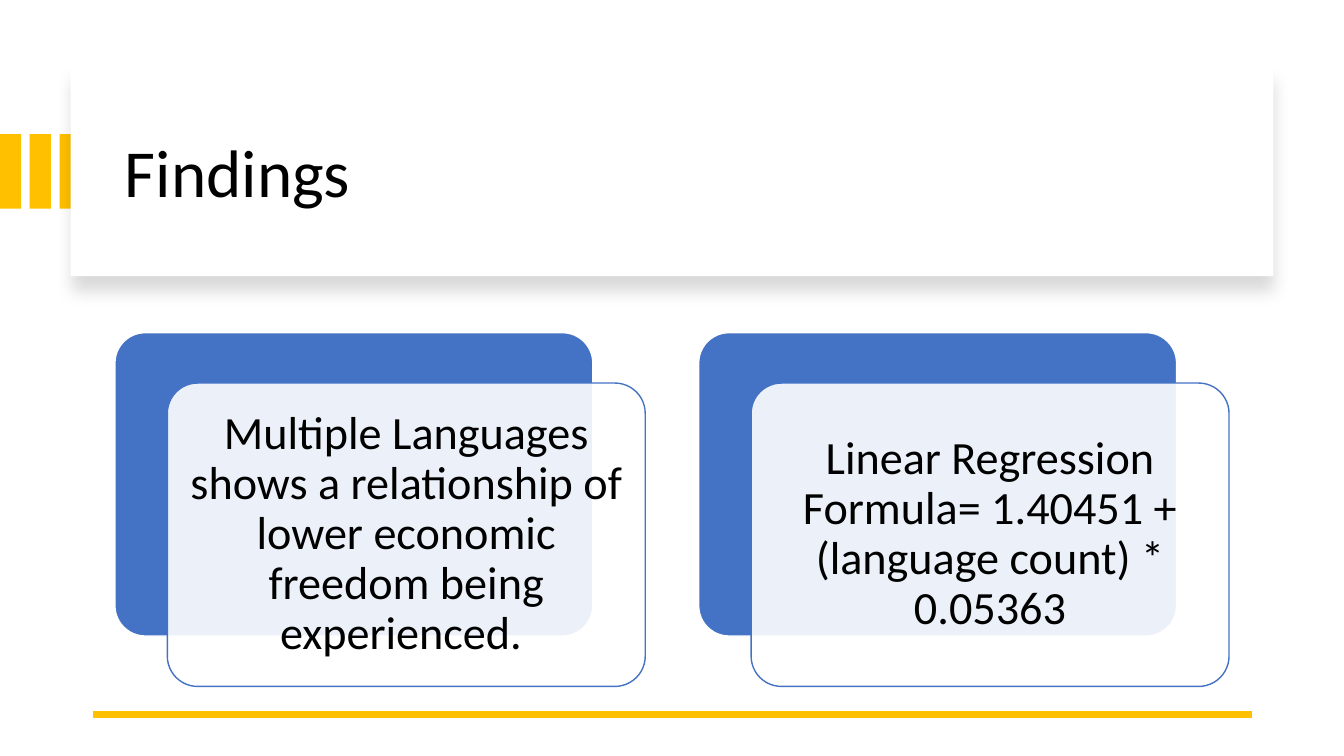
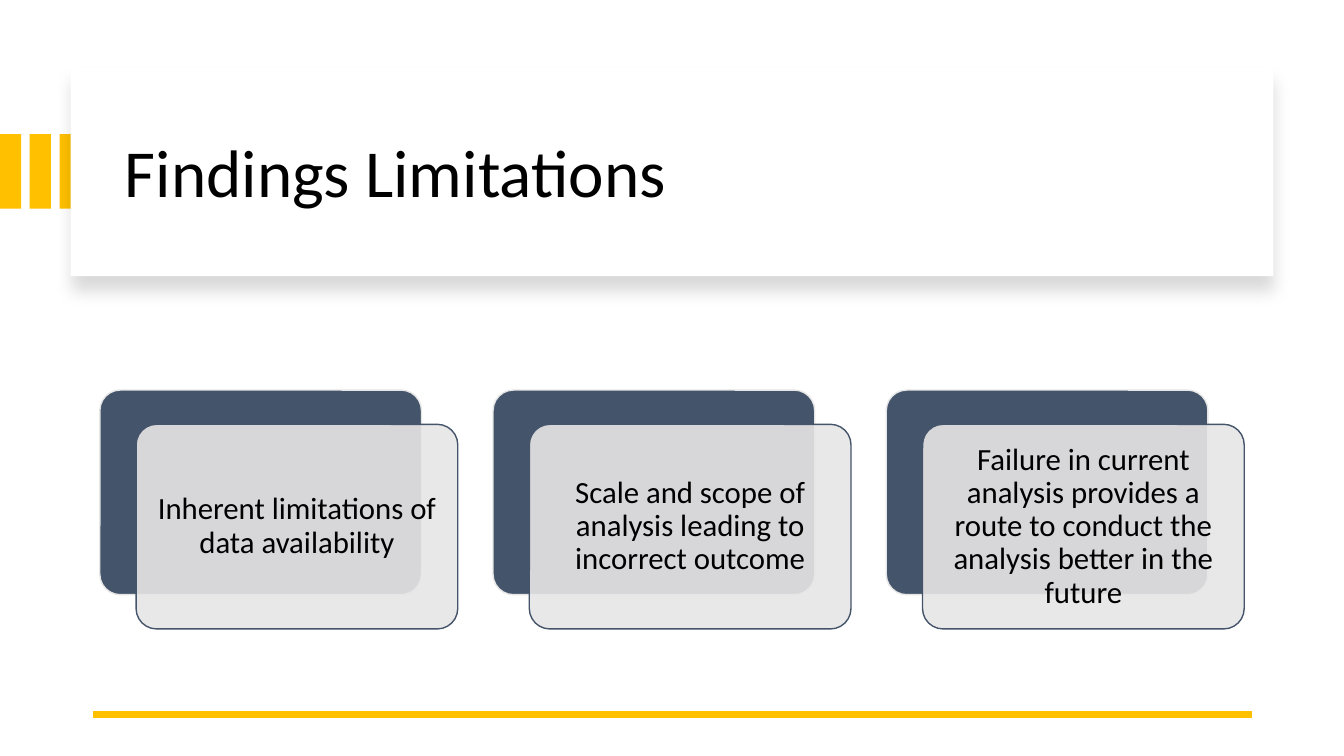
from dataclasses import dataclass

from lxml.etree import SubElement
from pptx import Presentation
from pptx.dml.color import RGBColor
from pptx.enum.shapes import MSO_CONNECTOR, MSO_SHAPE
from pptx.enum.text import MSO_ANCHOR, PP_ALIGN
from pptx.oxml.ns import qn
from pptx.util import Inches, Pt


@dataclass(frozen=True)
class Theme:
    """Colours, font and type sizes shared by the deck."""
    font: str = "Calibri"
    text: str = "000000"
    paper: str = "FFFFFF"
    accent: str = "FFC000"
    blue: str = "4472C4"
    slate: str = "44546A"
    mist: str = "E7E6E6"
    title_size: int = 48
    large_size: int = 33
    small_size: int = 22
    line_spacing: float = 0.9


@dataclass(frozen=True)
class CardRow:
    """Measures and style of a row of layered cards."""
    left: float
    top: float
    width: float
    height: float
    pitch: float
    shift_x: float
    shift_y: float
    inset: float
    dark: str
    light: str
    size: int


class SlideBuilder:
    """Draws the deck's elements on the current slide."""

    def __init__(self, deck, theme):
        self.deck = deck
        self.theme = theme
        self.slide = None

    def start_slide(self, title):
        self.slide = self.deck.slides.add_slide(self.deck.slide_layouts[6])
        for index in range(3):
            self.shape(0.295 * index, 1.33, 0.21, 0.74, self.theme.accent)
        self.title_panel()
        self.title(title)
        self.footer_rule()

    def shape(self, left, top, width, height, fill, line=None, kind=MSO_SHAPE.RECTANGLE):
        shape = self.slide.shapes.add_shape(
            kind, Inches(left), Inches(top), Inches(width), Inches(height))
        shape.shadow.inherit = False
        shape.fill.solid()
        shape.fill.fore_color.rgb = RGBColor.from_string(fill)
        if line:
            shape.line.color.rgb = RGBColor.from_string(line)
            shape.line.width = Pt(1)
        else:
            shape.line.fill.background()
        return shape

    def title_panel(self):
        panel = self.shape(0.7, 0.67, 11.93, 2.07, self.theme.paper)
        effects = panel.element.spPr.find(qn("a:effectLst"))
        shadow = SubElement(effects, qn("a:outerShdw"), blurRad=str(Pt(11)),
                            dist=str(Pt(10)), dir="5400000", algn="t", rotWithShape="0")
        color = SubElement(shadow, qn("a:srgbClr"), val=self.theme.text)
        SubElement(color, qn("a:alpha"), val="15000")

    def set_text(self, shape, text, size, alignment):
        frame = shape.text_frame
        frame.word_wrap = True
        frame.vertical_anchor = MSO_ANCHOR.MIDDLE
        para = frame.paragraphs[0]
        para.text = text
        para.alignment = alignment
        para.line_spacing = self.theme.line_spacing
        para.font.name = self.theme.font
        para.font.size = Pt(size)
        para.font.color.rgb = RGBColor.from_string(self.theme.text)

    def title(self, text):
        box = self.slide.shapes.add_textbox(
            Inches(1.14), Inches(0.89), Inches(11.13), Inches(1.7))
        self.set_text(box, text, self.theme.title_size, PP_ALIGN.LEFT)

    def footer_rule(self):
        rule = self.slide.shapes.add_connector(
            MSO_CONNECTOR.STRAIGHT, Inches(12.42), Inches(7.09), Inches(0.92), Inches(7.09))
        rule.line.color.rgb = RGBColor.from_string(self.theme.accent)
        rule.line.width = Pt(4.5)
        SubElement(rule.element.spPr, qn("a:effectLst"))

    def rounded_card(self, left, top, row, fill, line):
        card = self.shape(left, top, row.width, row.height, fill, line,
                          MSO_SHAPE.ROUNDED_RECTANGLE)
        card.adjustments[0] = 0.1
        return card

    def layered_card(self, left, row, text):
        self.rounded_card(left, row.top, row, row.dark, row.light)
        front = self.rounded_card(left + row.shift_x, row.top + row.shift_y, row,
                                  row.light, row.dark)
        fill_color = front.element.spPr.find(qn("a:solidFill")).find(qn("a:srgbClr"))
        SubElement(fill_color, qn("a:alpha"), val="90000")
        frame = front.text_frame
        frame.margin_left = frame.margin_right = Inches(row.inset)
        frame.margin_top = frame.margin_bottom = Inches(row.inset)
        self.set_text(front, text, row.size, PP_ALIGN.CENTER)

    def card_row(self, row, texts):
        for index, text in enumerate(texts):
            self.layered_card(row.left + index * row.pitch, row, text)


def main():
    """Builds and saves the deck."""
    deck = Presentation()
    deck.slide_width = Inches(13.33)
    deck.slide_height = Inches(7.5)
    theme = Theme()
    builder = SlideBuilder(deck, theme)

    builder.start_slide("Findings")
    findings = CardRow(left=1.14, top=3.3, width=4.74, height=3.01, pitch=5.79,
                       shift_x=0.52, shift_y=0.5, inset=0.14,
                       dark=theme.blue, light=theme.paper, size=theme.large_size)
    builder.card_row(findings, [
        "Multiple Languages shows a relationship of lower economic freedom being experienced. ",
        "Linear Regression Formula= 1.40451 + (language count) * 0.05363",
    ])

    builder.start_slide("Findings Limitations")
    limitations = CardRow(left=0.99, top=3.87, width=3.19, height=2.03, pitch=3.9,
                          shift_x=0.36, shift_y=0.34, inset=0.09,
                          dark=theme.slate, light=theme.mist, size=theme.small_size)
    builder.card_row(limitations, [
        "Inherent limitations of data availability",
        "Scale and scope of analysis leading to incorrect outcome",
        "Failure in current analysis provides a route to conduct the analysis better in the future",
    ])

    deck.save("out.pptx")


if __name__ == "__main__":
    main()
